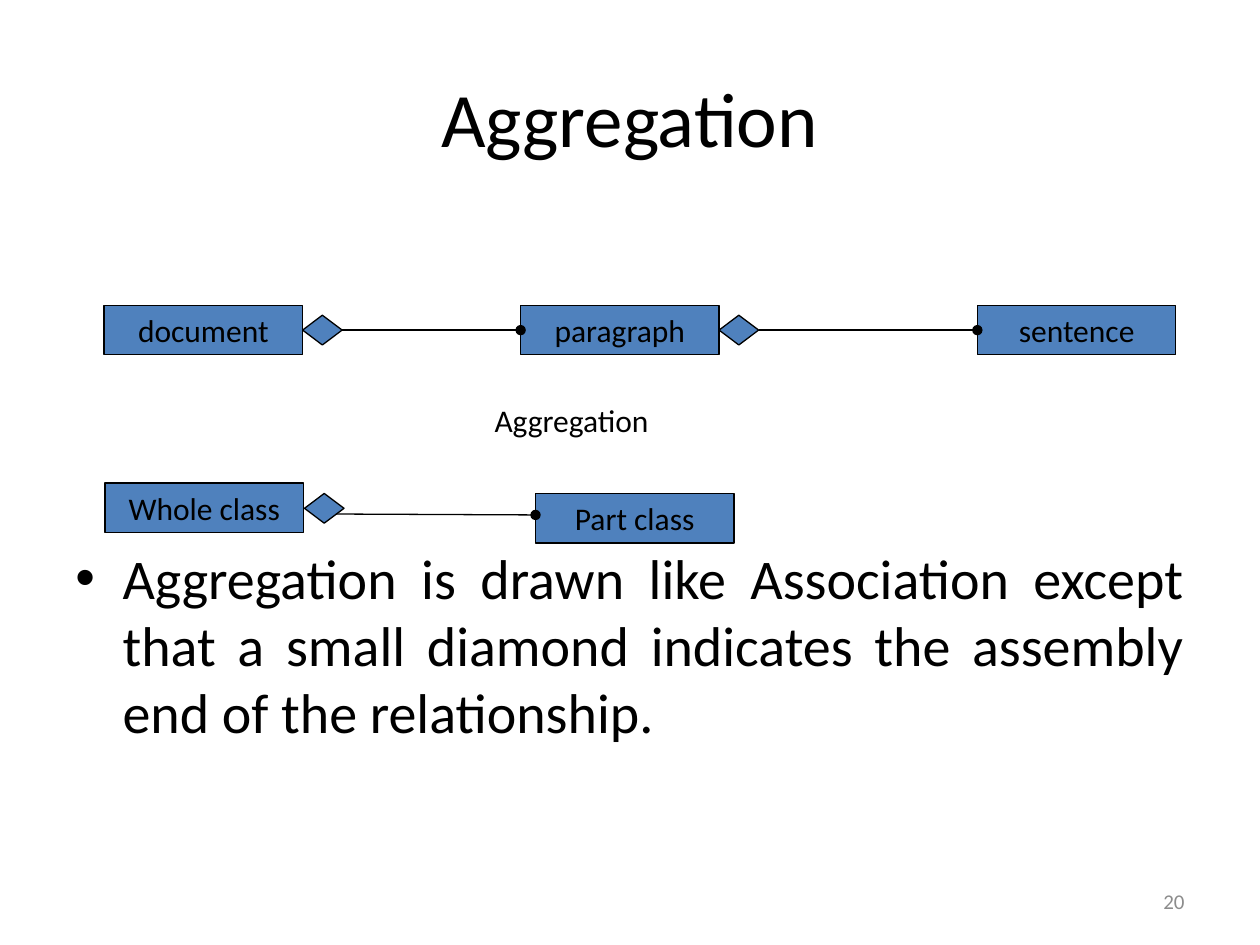
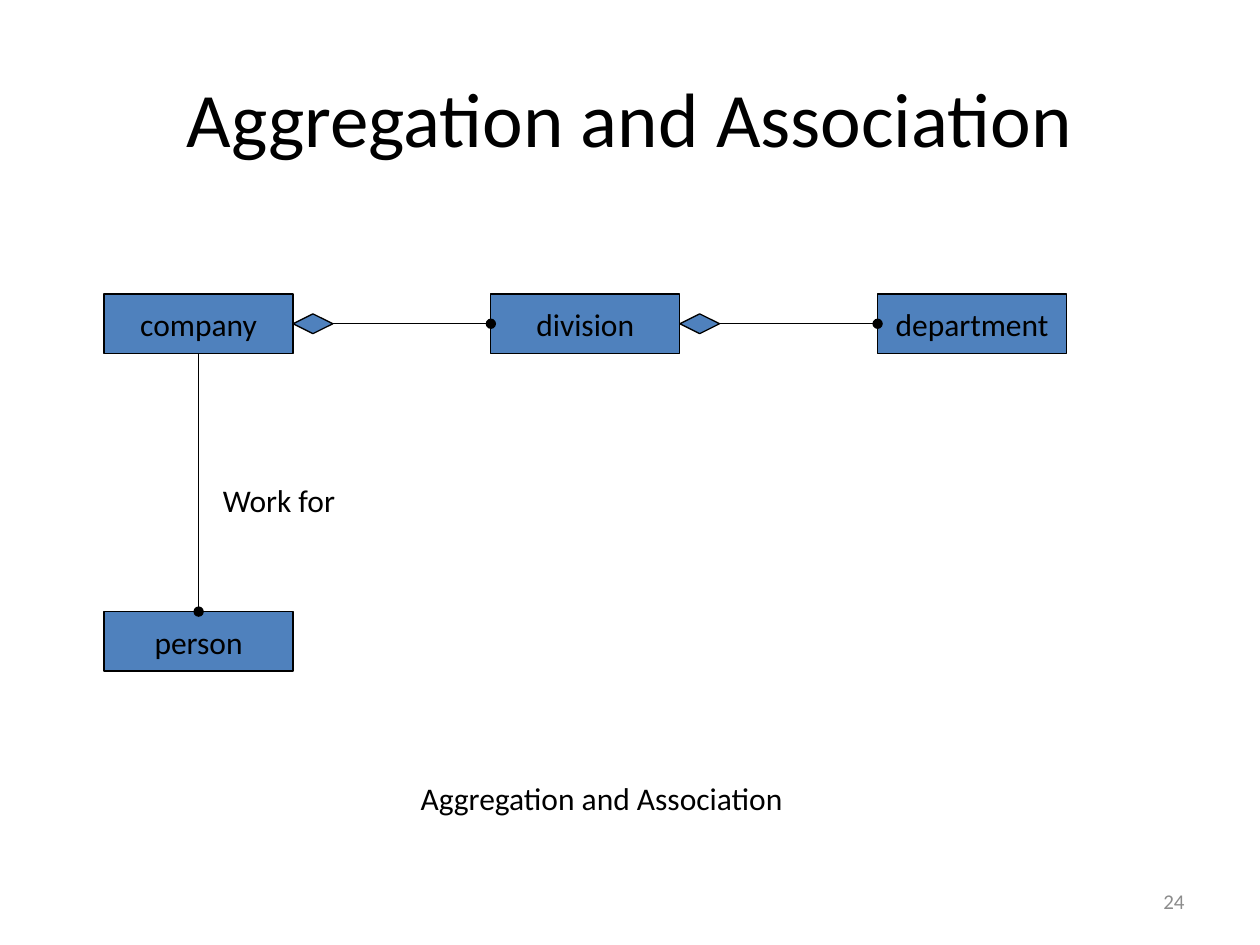
from dataclasses import dataclass

from lxml import etree
from pptx import Presentation
from pptx.dml.color import RGBColor
from pptx.enum.shapes import MSO_CONNECTOR, MSO_SHAPE
from pptx.enum.text import MSO_ANCHOR, MSO_AUTO_SIZE, PP_ALIGN
from pptx.oxml.ns import qn
from pptx.util import Pt

FONT = "Calibri"
COLOURS = {"ink": "000000", "class": "4F81BD", "number": "8C8C8C"}
LINE_WIDTH = 0.75


def colour(name: str) -> RGBColor:
    return RGBColor.from_string(COLOURS[name])


@dataclass(frozen=True)
class Area:
    left: float
    top: float
    width: float
    height: float

    def lengths(self) -> list:
        return [Pt(n) for n in (self.left, self.top, self.width, self.height)]


@dataclass(frozen=True)
class Node:
    """A filled shape: a class box, or a diamond when it has no text."""
    area: Area
    text: str = ""
    preset: MSO_SHAPE = MSO_SHAPE.RECTANGLE


@dataclass(frozen=True)
class Link:
    """A line that ends in a dot."""
    x1: float
    y1: float
    x2: float
    y2: float


@dataclass(frozen=True)
class Label:
    area: Area
    text: str
    size: float = 18
    ink: str = "ink"
    align: PP_ALIGN = PP_ALIGN.LEFT
    anchor: MSO_ANCHOR = MSO_ANCHOR.TOP
    wrap: bool = False
    bullet: bool = False


TITLE_AREA = Area(36, 21.6, 648, 90)
NUMBER_AREA = Area(516, 500.5, 168, 28.75)
BULLET_INDENT = 27


def write_text(frame, text: str, size: float, ink: str, align: PP_ALIGN):
    para = frame.paragraphs[0]
    para.text = text
    para.alignment = align
    para.font.name = FONT
    para.font.size = Pt(size)
    para.font.color.rgb = colour(ink)


def add_bullet(para):
    properties = para._p.get_or_add_pPr()
    properties.set("marL", str(Pt(BULLET_INDENT)))
    properties.set("indent", str(-Pt(BULLET_INDENT)))
    etree.SubElement(properties, qn("a:buFont")).set("typeface", "Arial")
    etree.SubElement(properties, qn("a:buChar")).set("char", "•")


def draw_label(page, label: Label):
    box = page.shapes.add_textbox(*label.area.lengths())
    frame = box.text_frame
    frame.word_wrap = label.wrap
    frame.auto_size = MSO_AUTO_SIZE.NONE if label.wrap else MSO_AUTO_SIZE.SHAPE_TO_FIT_TEXT
    frame.vertical_anchor = label.anchor
    if label.bullet:
        add_bullet(frame.paragraphs[0])
    write_text(frame, label.text, label.size, label.ink, label.align)


def draw_node(page, node: Node):
    box = page.shapes.add_shape(node.preset, *node.area.lengths())
    box.shadow.inherit = False
    box.fill.solid()
    box.fill.fore_color.rgb = colour("class")
    box.line.color.rgb = colour("ink")
    box.line.width = Pt(LINE_WIDTH)
    if node.text:
        box.text_frame.word_wrap = False
        box.text_frame.vertical_anchor = MSO_ANCHOR.MIDDLE
        write_text(box.text_frame, node.text, 18, "ink", PP_ALIGN.CENTER)


def draw_link(page, link: Link):
    line = page.shapes.add_connector(
        MSO_CONNECTOR.STRAIGHT, Pt(link.x1), Pt(link.y1), Pt(link.x2), Pt(link.y2))
    line.line.color.rgb = colour("ink")
    line.line.width = Pt(LINE_WIDTH)
    etree.SubElement(line.line._get_or_add_ln(), qn("a:tailEnd")).set("type", "oval")
    etree.SubElement(line._element.spPr, qn("a:effectLst"))


DRAWERS = {Node: draw_node, Link: draw_link, Label: draw_label}


def add_page(deck, title: str, number: int, items: list):
    page = deck.slides.add_slide(deck.slide_layouts[6])
    draw_label(page, Label(NUMBER_AREA, str(number), 12, "number",
                           PP_ALIGN.RIGHT, MSO_ANCHOR.MIDDLE, wrap=True))
    draw_label(page, Label(TITLE_AREA, title, 44, "ink",
                           PP_ALIGN.CENTER, MSO_ANCHOR.MIDDLE, wrap=True))
    for item in items:
        DRAWERS[type(item)](page, item)


def aggregation_items() -> list:
    width, height = 113.4, 28.3
    diamond_width, diamond_height = 22.6, 17
    row_top = 174.5
    middle = row_top + height / 2
    lefts = [59.5, 297.5, 558.5]

    def class_box(left: float, top: float, text: str) -> Node:
        return Node(Area(left, top, width, height), text)

    def diamond(left: float, centre: float) -> Node:
        area = Area(left, centre - diamond_height / 2, diamond_width, diamond_height)
        return Node(area, preset=MSO_SHAPE.FLOWCHART_DECISION)

    boxes = [class_box(left, row_top, text)
             for left, text in zip(lefts, ("document", "paragraph", "sentence"))]
    diamonds = [diamond(left + width, middle) for left in lefts[:-1]]
    links = [Link(left + width + diamond_width, middle, target, middle)
             for left, target in zip(lefts, lefts[1:])]
    explanation = ("Aggregation is drawn like Association except that a small "
                   "diamond indicates the assembly end of the relationship.")
    return [
        Label(Area(36, 307, 648, 175), explanation, 32,
              align=PP_ALIGN.JUSTIFY, wrap=True, bullet=True),
        *boxes, *diamonds, *links,
        Label(Area(275.5, 225.5, 111.5, 29), "Aggregation"),
        class_box(60, 276, "Whole class"),
        class_box(306, 282, "Part class"),
        diamond(174, 290.5),
        Link(192, 293.75, 306, 294.25),
    ]


def association_items() -> list:
    width, height, pitch = 108, 34, 221
    diamond_width, diamond_height = 22.7, 11.3
    left, top, person_top = 59.5, 168, 349.5
    middle = top + height / 2
    lefts = [left + pitch * column for column in range(3)]
    rights = [start + width for start in lefts[:-1]]

    boxes = [Node(Area(start, top, width, height), text)
             for start, text in zip(lefts, ("company", "division", "department"))]
    links = [Link(right, middle, target, middle)
             for right, target in zip(rights, lefts[1:])]
    diamonds = [Node(Area(right, middle - diamond_height / 2, diamond_width, diamond_height),
                     preset=MSO_SHAPE.DIAMOND) for right in rights]
    centre = left + width / 2
    return [
        *boxes,
        Node(Area(left, person_top, width, height), "person"),
        *links,
        Link(centre, top + height, centre, person_top),
        *diamonds,
        Label(Area(120.25, 271.5, 82.75, 29), "Work for"),
        Label(Area(233.25, 441.5, 243.25, 29), "Aggregation and Association"),
    ]


def main():
    deck = Presentation()
    deck.slide_width, deck.slide_height = Pt(720), Pt(540)
    add_page(deck, "Aggregation", 20, aggregation_items())
    add_page(deck, "Aggregation and Association", 24, association_items())
    deck.save("out.pptx")


if __name__ == "__main__":
    main()
